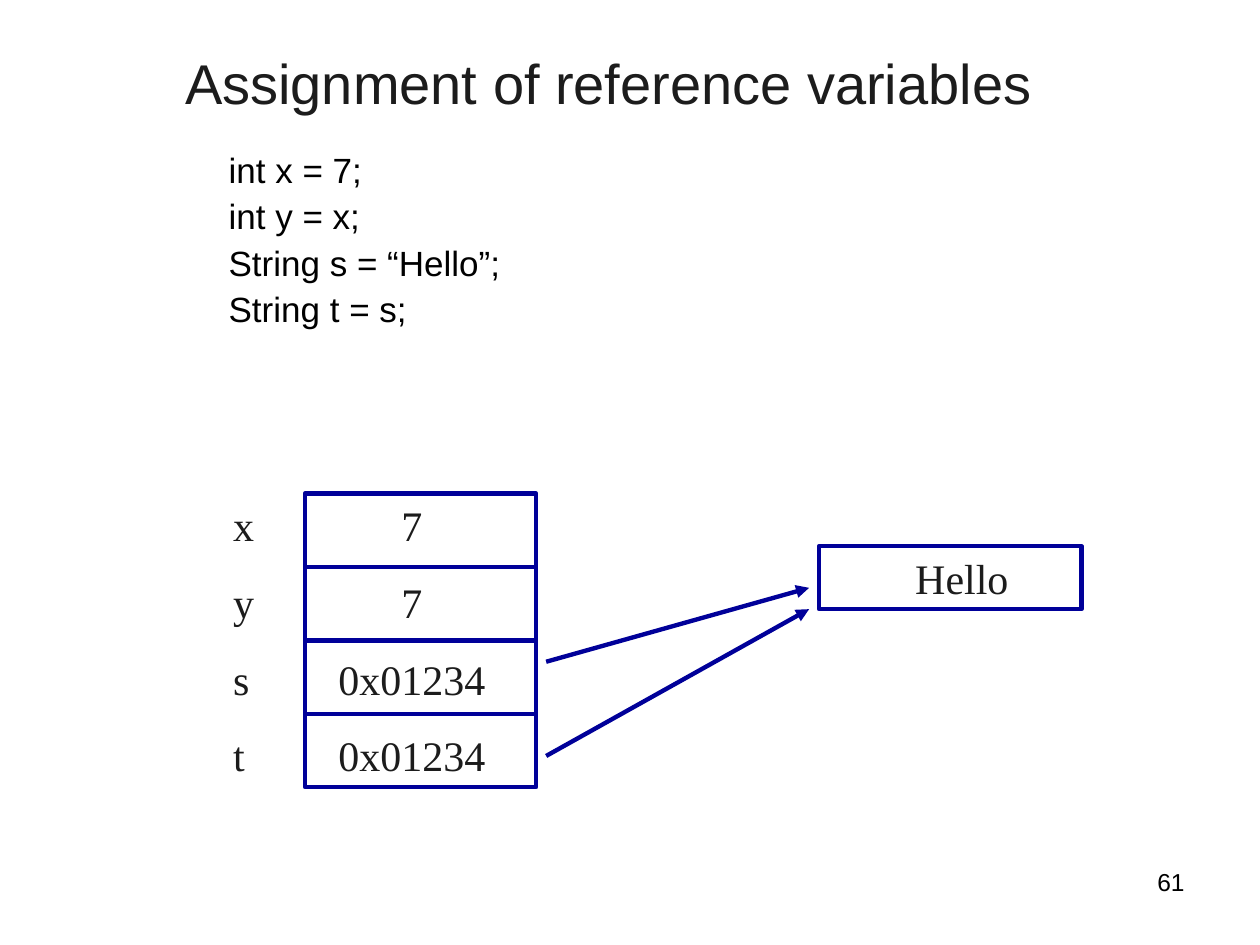
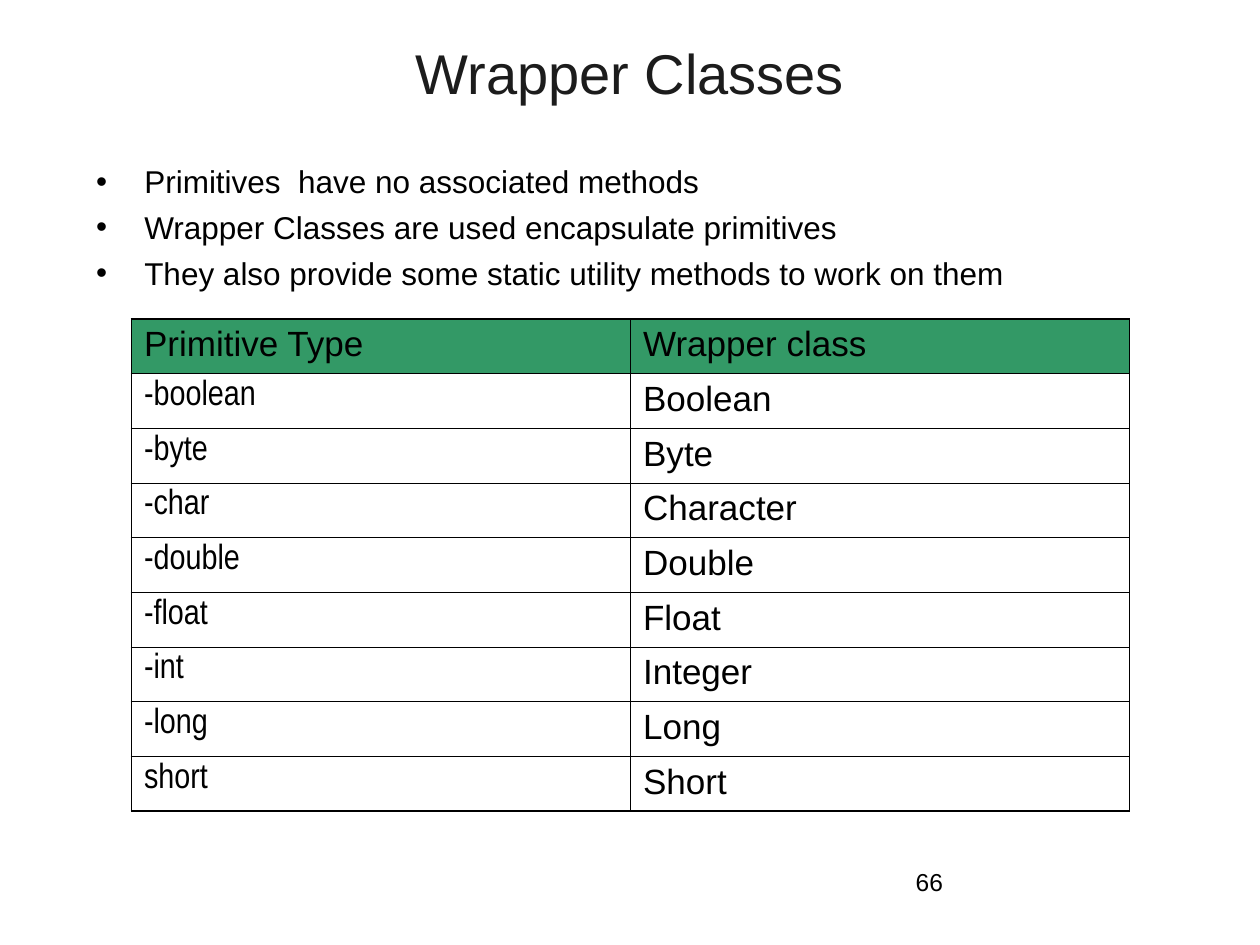
from lxml.etree import SubElement
from pptx import Presentation
from pptx.dml.color import RGBColor
from pptx.enum.shapes import MSO_CONNECTOR, MSO_SHAPE
from pptx.enum.text import MSO_ANCHOR, PP_ALIGN
from pptx.oxml.ns import qn
from pptx.util import Cm, Pt

INK, GREY, NAVY, GREEN = "000000", "1C1C1C", "000099", "339966"
SANS, NARROW, SERIF = "Arial", "Arial Narrow", "Times New Roman"
EDGE = 2.5
DENT = 0.97


def color(code):
    """Turn a hex string into a colour."""
    return RGBColor.from_string(code)


def write(frame, lines, size=20, font=SANS, ink=INK, align=PP_ALIGN.LEFT,
          before=0, spacing=None, dents=(0,), bullet=None):
    """Fill a text frame, one paragraph a line; dents repeat in turn."""
    frame.word_wrap = True
    for i, line in enumerate(lines):
        par = frame.paragraphs[0] if i == 0 else frame.add_paragraph()
        par.alignment = align
        par.space_before = Pt(before)
        if spacing:
            par.line_spacing = spacing
        run = par.add_run()
        run.text = line
        run.font.size, run.font.name = Pt(size), font
        run.font.color.rgb = color(ink)
        dent = Cm(dents[i % len(dents)])
        props = par._p.get_or_add_pPr()
        props.set("marL", str(dent))
        props.set("indent", str(-dent if bullet else 0))
        if bullet:
            SubElement(props, qn("a:buFont"), typeface=SANS)
            SubElement(props, qn("a:buChar"), char=bullet)


def label(slide, box, lines, anchor=MSO_ANCHOR.TOP, **style):
    """Place a text box; box is left, top, width, height."""
    frame = slide.shapes.add_textbox(*map(Cm, box)).text_frame
    write(frame, lines, **style)
    frame.vertical_anchor = anchor


def title(slide, box, text):
    """Place the centred slide title."""
    label(slide, box, [text], MSO_ANCHOR.MIDDLE, size=32, ink=GREY,
          align=PP_ALIGN.CENTER)


def footer(slide, number, align):
    """Place the slide number at the foot."""
    label(slide, (18.21, 17.35, 5.92, 1.32), [number], size=14, align=align)


def frame(slide, box, lines, **style):
    """Draw an outlined box with text inside."""
    shape = slide.shapes.add_shape(MSO_SHAPE.RECTANGLE, *map(Cm, box))
    shape.shadow.inherit = False
    shape.fill.background()
    shape.line.color.rgb, shape.line.width = color(NAVY), Pt(EDGE)
    shape.text_frame.vertical_anchor = MSO_ANCHOR.TOP
    write(shape.text_frame, lines, **style)


def stroke(slide, start, end, head=False):
    """Draw a line, with an arrowhead at its end if asked."""
    line = slide.shapes.add_connector(
        MSO_CONNECTOR.STRAIGHT, *map(Cm, (*start, *end)))
    line.line.color.rgb, line.line.width = color(NAVY), Pt(EDGE)
    if head:
        SubElement(line.line._get_or_add_ln(), qn("a:tailEnd"),
                   type="triangle")
    SubElement(line._element.spPr, qn("a:effectLst"))


def memory(slide, box, cells, target):
    """Draw named memory cells and the object the last two point to."""
    left, top, width, height = box
    style = dict(size=24, font=SERIF, ink=GREY, before=15)
    names, values, dents = zip(*cells)
    stack, wide, step = left + 1.7, 4.66, height / len(cells)
    frame(slide, (stack, top, wide, height), values, dents=dents, **style)
    for i in range(1, len(cells)):
        y = top + i * step
        stroke(slide, (stack, y), (stack + wide, y))
    label(slide, (left, top, 1.06, height), names, **style)
    goal = left + width - 5.29
    frame(slide, (goal, top + 1.06, 5.29, 1.27), [target], dents=[1.69],
          **style)
    for tail, tip in ((3.39, 1.9), (5.29, 2.33)):
        stroke(slide, (stack + wide + 0.2, top + tail),
               (goal - 0.2, top + tip), head=True)


def border(cell, sides):
    """Set black cell borders; sides maps a tag to a width in points."""
    props = cell._tc.get_or_add_tcPr()
    for i, (tag, width) in enumerate(sides.items()):
        line = SubElement(props, qn("a:" + tag), w=str(Pt(width)))
        fill = SubElement(line, qn("a:solidFill"))
        SubElement(fill, qn("a:srgbClr"), val=INK)
        props.remove(line)
        props.insert(i, line)


def grid(slide, box, rows):
    """Draw the table with a green head and a heavier outer border."""
    left, top, width, height = box
    last, end = len(rows) - 1, len(rows[0]) - 1
    table = slide.shapes.add_table(
        len(rows), len(rows[0]), *map(Cm, box)).table
    table.horz_banding = table.first_row = False
    for col in table.columns:
        col.width = Cm(width / (end + 1))
    for r, row in enumerate(rows):
        table.rows[r].height = Cm(height / len(rows))
        for c, text in enumerate(row):
            cell = table.cell(r, c)
            write(cell.text_frame, [text], before=5,
                  font=NARROW if r and not c else SANS)
            if r:
                cell.fill.background()
            else:
                cell.fill.solid()
                cell.fill.fore_color.rgb = color(GREEN)
            outer = {"lnL": c == 0, "lnR": c == end,
                     "lnT": r == 0, "lnB": r == last}
            border(cell, {k: 1.08 if v else 0.45 for k, v in outer.items()})


def assign(slide):
    """Build the slide on reference variables."""
    footer(slide, "61", PP_ALIGN.RIGHT)
    memory(slide, (4.45, 9.95, 17.35, 5.92),
           [("x", "7", 1.69), ("y", "7", 1.69),
            ("s", "0x01234", 0.42), ("t", "0x01234", 0.42)], "Hello")
    title(slide, (1.48, 0.94, 21.59, 1.42), "Assignment of reference variables")
    label(slide, (3.39, 2.96, 18.36, 5),
          ["int x = 7;", "int y = x;", "String s = “Hello”;", "String t = s;"],
          before=5, spacing=0.9, dents=[DENT])


def wrapper(slide):
    """Build the slide on wrapper classes."""
    title(slide, (1.27, 0.76, 22.86, 1.37), "Wrapper Classes")
    footer(slide, "66", PP_ALIGN.LEFT)
    label(slide, (1.69, 3.15, 20.32, 3.38),
          ["Primitives  have no associated methods",
           "Wrapper Classes are used encapsulate primitives",
           "They also provide some static utility methods to work on them"],
          size=18, before=4.5, dents=[DENT], bullet="•")
    grid(slide, (2.65, 6.43, 20.12, 9.92), [
        ("Primitive Type", "Wrapper class"),
        ("-boolean", "Boolean"),
        ("-byte", "Byte"),
        ("-char", "Character"),
        ("-double", "Double"),
        ("-float", "Float"),
        ("-int", "Integer"),
        ("-long", "Long"),
        ("short", "Short")])


deck = Presentation()
deck.slide_width, deck.slide_height = Cm(25.4), Cm(19.05)
for build in (assign, wrapper):
    build(deck.slides.add_slide(deck.slide_layouts[6]))
deck.save("out.pptx")
